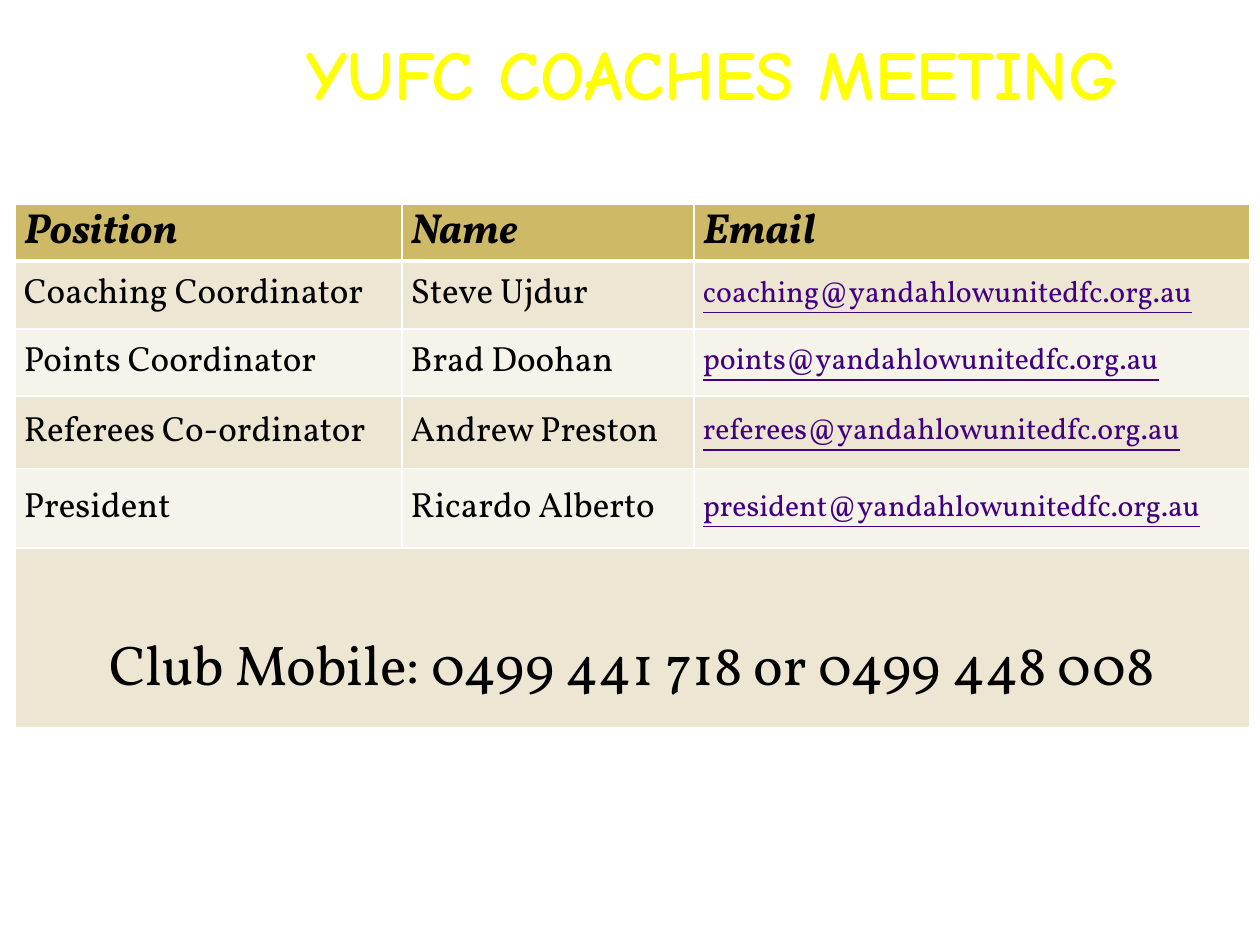
"""Build the coaches meeting contact slide."""
from dataclasses import dataclass

from lxml import etree
from pptx import Presentation
from pptx import util as u
from pptx.dml.color import RGBColor
from pptx.enum import text
from pptx.oxml.ns import qn


@dataclass(frozen=True)
class Style:
    font: str
    size: float
    color: str
    bold: bool = False
    italic: bool = False
    underline: bool = False


@dataclass(frozen=True)
class Theme:
    title: Style = Style("Comic Neue", 40, "FFFF00", bold=True)
    header: Style = Style("Vollkorn", 24, "000000", bold=True, italic=True)
    body: Style = Style("Vollkorn", 20, "000000")
    email: Style = Style("Vollkorn", 17, "410082", underline=True)
    mobile: Style = Style("Vollkorn", 32, "000000")
    header_fill: str = "CEB966"
    band_fills: tuple[str, str] = ("EDE6D3", "F6F3EA")
    border: str = "FFFFFF"
    thin: float = 1
    thick: float = 3


@dataclass(frozen=True)
class Contact:
    position: str
    name: str
    mailbox: str


THEME = Theme()
DOMAIN = "yandahlowunitedfc.org.au"
HEADINGS = ("Position", "Name", "Email")
CONTACTS = (
    Contact("Coaching Coordinator", "Steve Ujdur", "coaching"),
    Contact("Points Coordinator", "Brad Doohan", "points"),
    Contact("Referees Co-ordinator", "Andrew Preston", "referees"),
    Contact("President", "Ricardo Alberto", "president"),
)
MOBILE = "Club Mobile: 0499 441 718 or 0499 448 008"
COLUMN_WIDTHS = (7.8, 5.89, 11.2)
ROW_HEIGHTS = (1.15, 1.37, 1.35, 1.47, 1.6, 3.63)


def add_span(para, words: str, style: Style) -> None:
    span = para.add_run()
    span.text = words
    font = span.font
    font.name, font.size = style.font, u.Pt(style.size)
    font.bold, font.italic, font.underline = style.bold, style.italic, style.underline
    font.color.rgb = RGBColor.from_string(style.color)


def add_title(page, words: str) -> None:
    box = page.shapes.add_textbox(u.Cm(3.96), u.Cm(0.41), u.Cm(20.8), u.Cm(1.9))
    frame = box.text_frame
    frame.word_wrap = True
    frame.vertical_anchor = text.MSO_ANCHOR.BOTTOM
    frame.margin_left = frame.margin_right = u.Cm(0.13)
    frame.margin_top = frame.margin_bottom = 0
    para = frame.paragraphs[0]
    para.alignment = text.PP_ALIGN.CENTER
    add_span(para, words, THEME.title)


def add_border(cell, side: str, points: float) -> None:
    properties = cell._tc.get_or_add_tcPr()
    line = etree.SubElement(properties, qn(f"a:ln{side}"), w=str(u.Pt(points)))
    fill = etree.SubElement(line, qn("a:solidFill"))
    etree.SubElement(fill, qn("a:srgbClr"), val=THEME.border)


def paint_cell(cell, row: int) -> None:
    add_border(cell, "L", THEME.thin)
    add_border(cell, "R", THEME.thin)
    if row == 0:
        add_border(cell, "T", THEME.thin)
    add_border(cell, "B", THEME.thin if row else THEME.thick)
    color = THEME.band_fills[(row - 1) % 2] if row else THEME.header_fill
    cell.fill.solid()
    cell.fill.fore_color.rgb = RGBColor.from_string(color)


def write_cell(cell, words: str, style: Style) -> None:
    cell.vertical_anchor = text.MSO_ANCHOR.MIDDLE
    cell.margin_left = cell.margin_right = u.Cm(0.18)
    cell.margin_top = cell.margin_bottom = 0
    add_span(cell.text_frame.paragraphs[0], words, style)


def add_contacts(page) -> None:
    table = page.shapes.add_table(
        len(ROW_HEIGHTS), len(COLUMN_WIDTHS), u.Cm(0.3), u.Cm(4.11),
        u.Cm(sum(COLUMN_WIDTHS)), u.Cm(sum(ROW_HEIGHTS)),
    ).table
    for column, width in zip(table.columns, COLUMN_WIDTHS):
        column.width = u.Cm(width)
    for row, height in enumerate(ROW_HEIGHTS):
        table.rows[row].height = u.Cm(height)
        for cell in table.rows[row].cells:
            paint_cell(cell, row)
    for column, heading in enumerate(HEADINGS):
        write_cell(table.cell(0, column), heading, THEME.header)
    for row, contact in enumerate(CONTACTS, start=1):
        write_cell(table.cell(row, 0), contact.position, THEME.body)
        write_cell(table.cell(row, 1), contact.name, THEME.body)
        write_cell(table.cell(row, 2), f"{contact.mailbox}@{DOMAIN}", THEME.email)
    last = len(ROW_HEIGHTS) - 1
    footer = table.cell(last, 0)
    footer.merge(table.cell(last, len(COLUMN_WIDTHS) - 1))
    footer.margin_top = u.Cm(1.7)
    para = footer.text_frame.paragraphs[0]
    para.alignment = text.PP_ALIGN.CENTER
    add_span(para, MOBILE, THEME.mobile)


def main() -> None:
    deck = Presentation()
    deck.slide_width, deck.slide_height = u.Cm(25.4), u.Cm(19.05)
    page = deck.slides.add_slide(deck.slide_layouts[6])
    add_title(page, "YUFC COACHES MEETING")
    add_contacts(page)
    deck.save("out.pptx")


if __name__ == "__main__":
    main()
